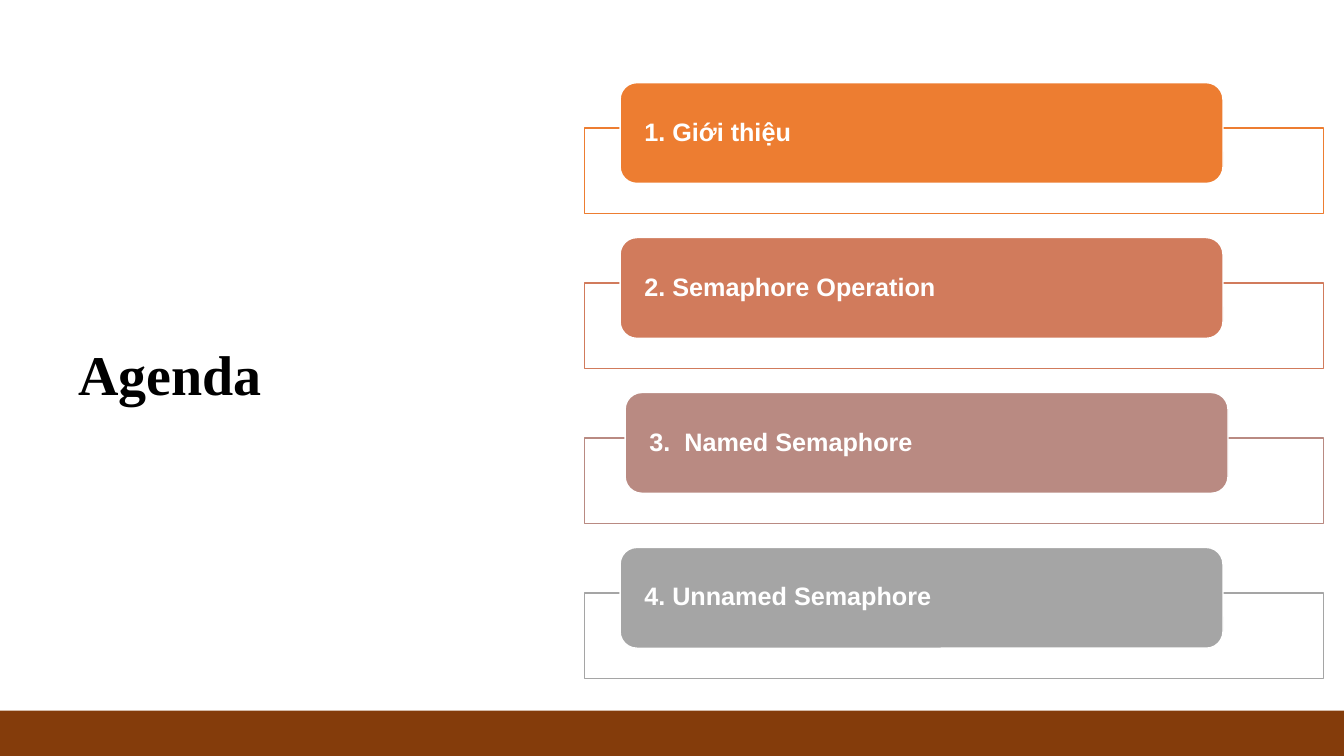
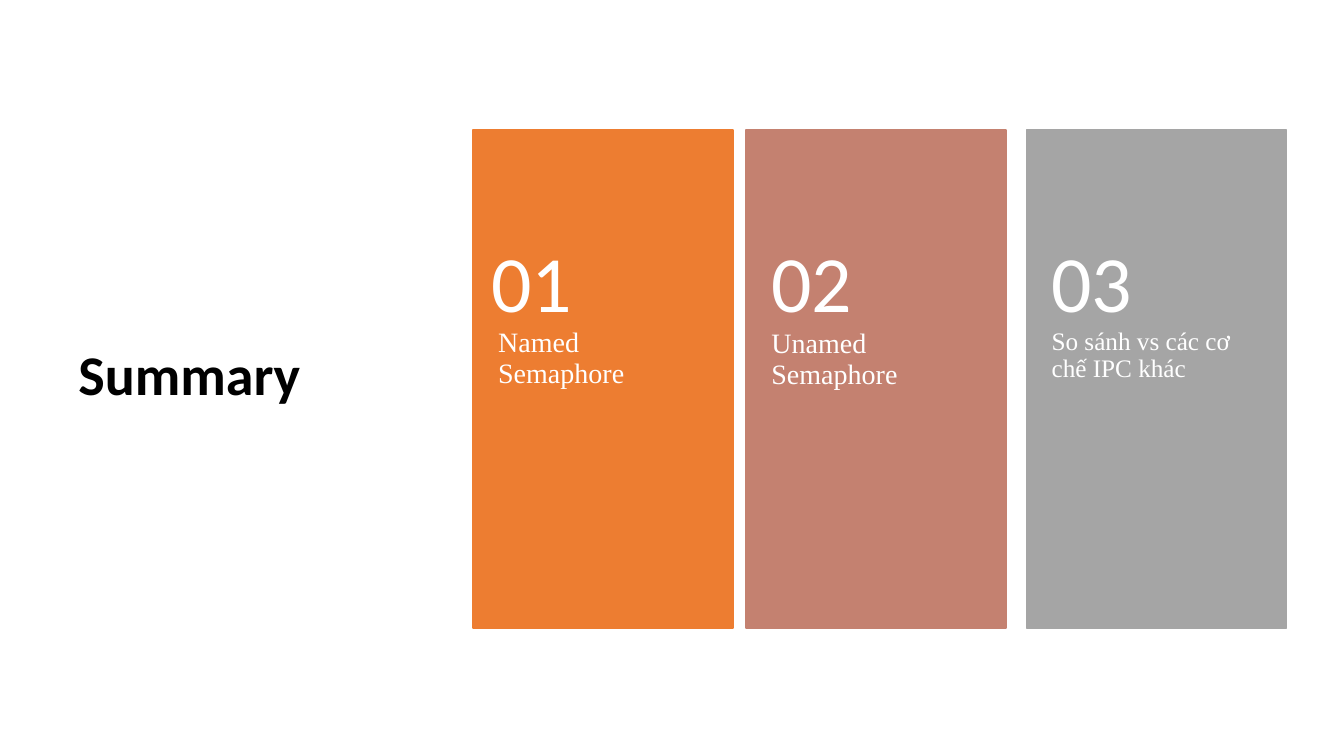
from lxml import etree
from pptx import Presentation
from pptx.dml.color import RGBColor
from pptx.enum import shapes, text
from pptx.oxml import ns
from pptx.util import Inches, Pt

# Content: topic, colour name, left edge of the tab
AGENDA = [
    ("1. Gi\u01a1\u0301i thi\u00ea\u0323u", "orange", 6.15),
    ("2. Semaphore Operation", "copper", 6.15),
    ("3.  Named Semaphore", "rose", 6.2),
    ("4. Unnamed Semaphore", "grey", 6.15),
]
# Content: number, caption, caption size, colour name, panel left,
# number left, caption top
SUMMARY = [
    ("01", "Named Semaphore", 20, "orange", 4.69, 4.62, 3.26),
    ("02", "Unamed Semaphore", 20, "clay", 7.4, 7.4, 3.27),
    ("03", "So sa\u0301nh vs ca\u0301c c\u01a1 ch\u00ea\u0301 IPC kha\u0301c", 18,
     "grey", 10.18, 10.18, 3.26),
]

COLOURS = {
    "white": "FFFFFF", "black": "000000", "brown": "843C0B",
    "orange": "ED7D31", "copper": "D17B5C", "rose": "B98A82",
    "clay": "C48170", "grey": "A5A5A5",
}
SERIF, SANS, LABEL = "Times New Roman", "Calibri", "Arial"
RECTANGLE = shapes.MSO_SHAPE.RECTANGLE
ROUNDED = shapes.MSO_SHAPE.ROUNDED_RECTANGLE

SLIDE_WIDTH, SLIDE_HEIGHT = 13.33, 7.5
TITLE_BOX = (0.68, 1.27, 3.94, 4.95)
BAND_BOX = (0, 7.05, SLIDE_WIDTH, 0.47)
FRAME_LEFT, FRAME_TOP, FRAME_WIDTH, FRAME_HEIGHT = 5.8, 1.27, 7.33, 0.85
TAB_TOP, TAB_WIDTH, TAB_HEIGHT = 0.82, 5.98, 1
ROW_PITCH = 1.537
TAB_MARGIN = 0.05
PANEL_TOP, PANEL_WIDTH, PANEL_HEIGHT = 1.29, 2.58, 4.94
NUMBER_TOP, NUMBER_HEIGHT, CAPTION_HEIGHT = 2.22, 1.24, 2.96


def rgb(name):
    """Return the named colour."""
    return RGBColor.from_string(COLOURS[name])


def add_box(slide, kind, box, fill, line=None, opacity=None):
    """Draw a filled preset shape, with opacity in percent."""
    shape = slide.shapes.add_shape(kind, *map(Inches, box))
    shape.shadow.inherit = False
    shape.fill.solid()
    shape.fill.fore_color.rgb = rgb(fill)
    if opacity is not None:
        colour = shape.fill._xPr.find(".//" + ns.qn("a:srgbClr"))
        etree.SubElement(colour, ns.qn("a:alpha"), val=str(opacity * 1000))
    if line:
        shape.line.color.rgb = rgb(line)
        shape.line.width = Pt(1)
    else:
        shape.line.fill.background()
    return shape


def add_text(slide, words, box, size, font, colour="white", bold=False,
             middle=True, insets=(0.1, 0.05, 0.1, 0.05)):
    """Write one wrapped paragraph in a text box."""
    frame = slide.shapes.add_textbox(*map(Inches, box)).text_frame
    frame.word_wrap = True
    frame.vertical_anchor = text.MSO_ANCHOR.MIDDLE if middle else text.MSO_ANCHOR.TOP
    (frame.margin_left, frame.margin_top,
     frame.margin_right, frame.margin_bottom) = map(Inches, insets)
    paragraph = frame.paragraphs[0]
    paragraph.line_spacing = 0.9
    run = paragraph.add_run()
    run.text = words
    run.font.name = font
    run.font.size = Pt(size)
    run.font.bold = bold
    run.font.color.rgb = rgb(colour)


def add_titled_slide(presentation, title, font):
    """Add a blank slide with its title on the left."""
    slide = presentation.slides.add_slide(presentation.slide_layouts[6])
    add_text(slide, title, TITLE_BOX, 40, font, colour="black", bold=True)
    return slide


def build_agenda(presentation):
    """Build the list of topics: a tab over a frame on each row."""
    slide = add_titled_slide(presentation, "Agenda", SERIF)
    add_box(slide, RECTANGLE, BAND_BOX, "brown")
    for row, (topic, colour, left) in enumerate(AGENDA):
        shift = row * ROW_PITCH
        top = TAB_TOP + shift
        add_box(slide, RECTANGLE,
                (FRAME_LEFT, FRAME_TOP + shift, FRAME_WIDTH, FRAME_HEIGHT),
                "white", line=colour, opacity=90)
        add_box(slide, ROUNDED, (left, top, TAB_WIDTH, TAB_HEIGHT), colour, line="white")
        label_box = (left + TAB_MARGIN, top + TAB_MARGIN,
                     TAB_WIDTH - 2 * TAB_MARGIN, TAB_HEIGHT - 2 * TAB_MARGIN)
        add_text(slide, topic, label_box, 18, LABEL, bold=True, insets=(0.19, 0, 0.19, 0))


def build_summary(presentation):
    """Build the three numbered panels."""
    slide = add_titled_slide(presentation, "Summary", SANS)
    for number, caption, size, colour, left, number_left, caption_top in SUMMARY:
        add_box(slide, RECTANGLE, (left, PANEL_TOP, PANEL_WIDTH, PANEL_HEIGHT),
                colour, line=colour)
        add_text(slide, caption, (left, caption_top, PANEL_WIDTH, CAPTION_HEIGHT),
                 size, SERIF, middle=False, insets=(0.25, 0, 0.25, 0.36))
        add_text(slide, number, (number_left, NUMBER_TOP, PANEL_WIDTH, NUMBER_HEIGHT),
                 57, SANS, insets=(0.25, 0.18, 0.25, 0.18))


def main():
    """Build and save the presentation."""
    presentation = Presentation()
    presentation.slide_width = Inches(SLIDE_WIDTH)
    presentation.slide_height = Inches(SLIDE_HEIGHT)
    build_agenda(presentation)
    build_summary(presentation)
    presentation.save("out.pptx")


main()
